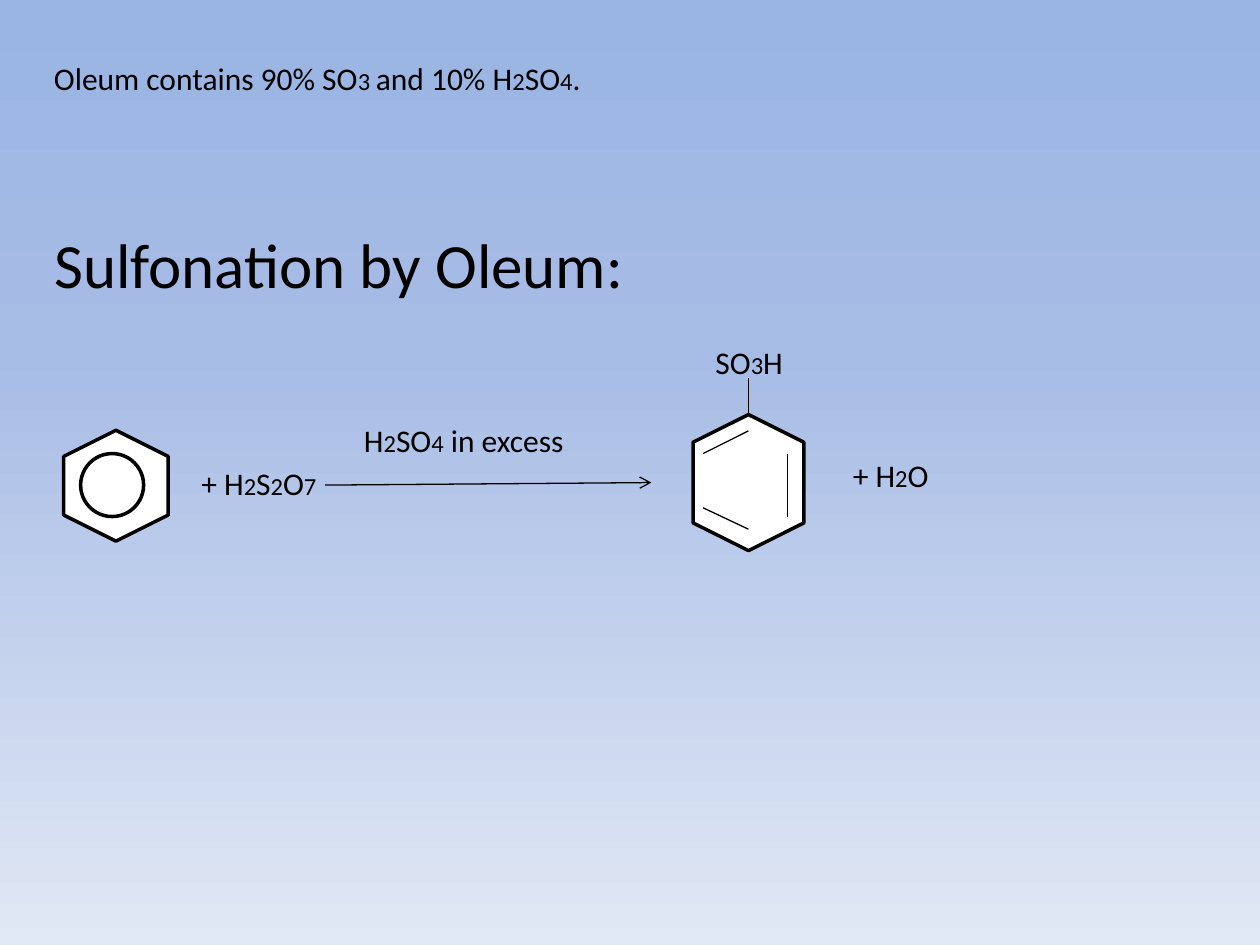
from lxml import etree
from pptx import Presentation
from pptx.dml.color import RGBColor
from pptx.enum.shapes import MSO_CONNECTOR, MSO_SHAPE
from pptx.enum.text import MSO_ANCHOR, MSO_AUTO_SIZE, PP_ALIGN
from pptx.oxml import parse_xml
from pptx.oxml.ns import qn
from pptx.util import Inches, Pt

HEX, RING = MSO_SHAPE.HEXAGON, MSO_SHAPE.OVAL
STRAIGHT = MSO_CONNECTOR.STRAIGHT
LEFT, TOP = PP_ALIGN.LEFT, MSO_ANCHOR.TOP
GROW = MSO_AUTO_SIZE.SHAPE_TO_FIT_TEXT

THEME = {
    "font": "Calibri", "ink": RGBColor(0, 0, 0), "paper": RGBColor(255, 255, 255),
    "title": 36, "body": 18, "index": 14, "ring": 2, "bond": 0.75,
    "sky": [(0, "9AB5E4"), (37, "A7BCE5"), (100, "E1E8F5")],
}

# Content: every second piece between bars is a small index
TITLE = ("Sulfonation by Oleum:", (0.33, 1.74, 6.33, 1.11))
LABELS = [
    ("Oleum contains 90% SO|3 |and 10% H|2|SO|4|.", (0.33, 0.42, 7.92, 0.4)),
    ("+ H|2|S|2|O|7", (1.5, 3.63, 3, 0.4)),
    ("H|2|SO|4| in excess", (2.79, 3.29, 2.17, 0.4)),
    ("SO|3|H", (5.58, 2.67, 1.08, 0.4)),
    ("+ H|2|O", (6.67, 3.57, 1.42, 0.4)),
]
# Kind, box before turning, turn in degrees
RINGS = [
    (HEX, (0.48, 3.44, 0.88, 0.83), 90),
    (RING, (0.64, 3.6, 0.5, 0.5), 0),
    (HEX, (5.4, 3.39, 1.08, 0.88), 90),
]
ARROW = (2.58, 3.85, 5.17, 3.83)
BONDS = [
    (5.94, 3.42, 5.58, 3.6),
    (6.25, 3.6, 6.25, 4.1),
    (5.94, 4.2, 5.58, 4.03),
    (5.94, 3.29, 5.94, 3),
]


def inch(nums):
    return [Inches(n) for n in nums]


def style(obj, vals):
    for key, val in vals.items():
        setattr(obj, key, val)


def write(shape, text, size):
    frame = shape.text_frame
    style(frame, {"word_wrap": True, "auto_size": GROW, "vertical_anchor": TOP})
    para = frame.paragraphs[0]
    para.alignment = LEFT
    for i, piece in enumerate(text.split("|")):
        if piece:
            run = para.add_run()
            run.text = piece
            pts = THEME["index"] if i % 2 else size
            style(run.font, {"name": THEME["font"], "size": Pt(pts)})
            run.font.color.rgb = THEME["ink"]


def draw(line, width):
    line.color.rgb = THEME["ink"]
    line.width = Pt(width)


def join(slide, ends):
    link = slide.shapes.add_connector(STRAIGHT, *inch(ends))
    draw(link.line, THEME["bond"])
    etree.SubElement(link._element.spPr, qn("a:effectLst"))
    return link


def paint(slide):
    fill = slide.background.fill
    fill.gradient()
    fill.gradient_angle = 270
    stops = slide.background._cSld.find(".//" + qn("a:gsLst"))
    for old in list(stops):
        stops.remove(old)
    for pos, tone in THEME["sky"]:
        stops.append(parse_xml(
            '<a:gs xmlns:a="http://schemas.openxmlformats.org/drawingml/2006/main" '
            f'pos="{pos * 1000}"><a:srgbClr val="{tone}"/></a:gs>'))


def main():
    deck = Presentation()
    style(deck, {"slide_width": Inches(10), "slide_height": Inches(7.5)})
    slide = deck.slides.add_slide(deck.slide_layouts[5])
    paint(slide)

    # Title
    text, box = TITLE
    head = slide.shapes.title
    style(head, dict(zip(("left", "top", "width", "height"), inch(box))))
    write(head, text, THEME["title"])

    # Benzene rings
    for kind, box, turn in RINGS:
        ring = slide.shapes.add_shape(kind, *inch(box))
        ring.rotation = turn
        ring.shadow.inherit = False
        ring.fill.solid()
        ring.fill.fore_color.rgb = THEME["paper"]
        draw(ring.line, THEME["ring"])

    # Bonds and reaction arrow
    for ends in BONDS:
        join(slide, ends)
    arrow = join(slide, ARROW)
    etree.SubElement(arrow.line._get_or_add_ln(), qn("a:tailEnd"), type="arrow")

    # Formulas
    for text, box in LABELS:
        write(slide.shapes.add_textbox(*inch(box)), text, THEME["body"])

    deck.save("out.pptx")


if __name__ == "__main__":
    main()
